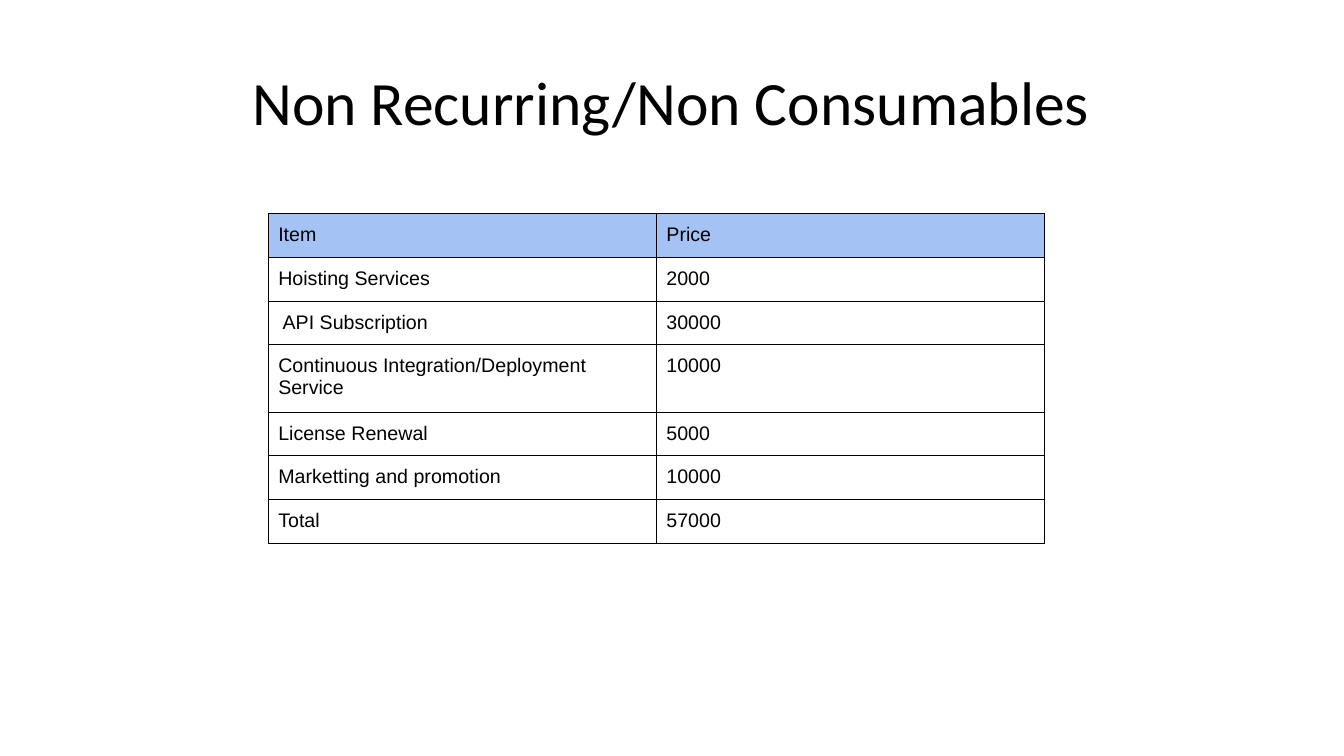
from lxml import etree
from pptx import Presentation
from pptx.dml.color import RGBColor
from pptx.enum.text import MSO_ANCHOR, PP_ALIGN
from pptx.oxml.ns import qn
from pptx.util import Inches, Pt

MIDDLE = MSO_ANCHOR.MIDDLE
CENTER = PP_ALIGN.CENTER
BLANK_LAYOUT = 6

SLIDE_WIDTH, SLIDE_HEIGHT = 13.33, 7.5
ROW_HEIGHT, WRAPPED_ROW_HEIGHT = 0.42, 0.64
PRICES = [
    ("Item", "Price"),
    ("Hoisting Services", "2000"),
    (" API Subscription", "30000"),
    ("Continuous Integration/Deployment Service", "10000"),
    ("License Renewal", "5000"),
    ("Marketting and promotion", "10000"),
    ("Total", "57000"),
]
WRAPPED_ROW = 3


def color(hex_code):
    return RGBColor.from_string(hex_code)


def set_all(target, values):
    """Set each named attribute of the target."""
    for name, value in values.items():
        setattr(target, name, value)


class SlideBuilder:
    """Holds the style and the current slide; places are shares of its size."""

    ink = "000000"
    header_fill = "A4C2F4"
    title_font = {"name": "Calibri", "size": Pt(44), "bold": False}
    cell_font = {"name": "Arial", "size": Pt(14), "bold": False}
    title_frame = {"word_wrap": True, "vertical_anchor": MIDDLE}
    cell_margins = {f"margin_{side}": Inches(0.1)
                    for side in ("left", "right", "top", "bottom")}
    table_flags = {"first_row": False, "horz_banding": False}
    border_width = Pt(0.75)

    def __init__(self, deck):
        self.width, self.height = deck.slide_width, deck.slide_height
        self.slide = deck.slides.add_slide(deck.slide_layouts[BLANK_LAYOUT])

    def place(self, left, top, width, height):
        """Turn shares of the slide into lengths."""
        return (int(left * self.width), int(top * self.height),
                int(width * self.width), int(height * self.height))

    def add_text(self, frame, text, font):
        para = frame.paragraphs[0]
        span = para.add_run()
        span.text = text
        set_all(span.font, font)
        span.font.color.rgb = color(self.ink)
        return para

    def title(self, text, *shares):
        box = self.slide.shapes.add_textbox(*self.place(*shares))
        set_all(box.text_frame, self.title_frame)
        self.add_text(box.text_frame, text, self.title_font).alignment = CENTER

    def border(self, cell):
        properties = cell._tc.get_or_add_tcPr()
        for side in ("lnL", "lnR", "lnT", "lnB"):
            line = etree.SubElement(properties, qn(f"a:{side}"), w=str(self.border_width))
            fill = etree.SubElement(line, qn("a:solidFill"))
            etree.SubElement(fill, qn("a:srgbClr"), val=self.ink)

    def cell(self, cell, text, is_header):
        set_all(cell, self.cell_margins)
        self.add_text(cell.text_frame, text, self.cell_font)
        self.border(cell)
        if is_header:
            cell.fill.solid()
            cell.fill.fore_color.rgb = color(self.header_fill)
        else:
            cell.fill.background()

    def table(self, records, row_heights, left, top, width):
        place = self.place(left, top, width, sum(row_heights) / SLIDE_HEIGHT)
        table = self.slide.shapes.add_table(len(records), len(records[0]), *place).table
        set_all(table, self.table_flags)
        for row_index, record in enumerate(records):
            table.rows[row_index].height = Inches(row_heights[row_index])
            for column_index, text in enumerate(record):
                self.cell(table.cell(row_index, column_index), text, row_index == 0)


def main():
    deck = Presentation()
    set_all(deck, {"slide_width": Inches(SLIDE_WIDTH), "slide_height": Inches(SLIDE_HEIGHT)})
    page = SlideBuilder(deck)
    page.title("Non Recurring/Non Consumables",
               1.96 / SLIDE_WIDTH, 0.48 / SLIDE_HEIGHT,
               9.4 / SLIDE_WIDTH, 1.04 / SLIDE_HEIGHT)
    row_heights = [WRAPPED_ROW_HEIGHT if index == WRAPPED_ROW else ROW_HEIGHT
                   for index in range(len(PRICES))]
    page.table(PRICES, row_heights,
               2.66 / SLIDE_WIDTH, 2.12 / SLIDE_HEIGHT, 7.7 / SLIDE_WIDTH)
    deck.save("out.pptx")


if __name__ == "__main__":
    main()
